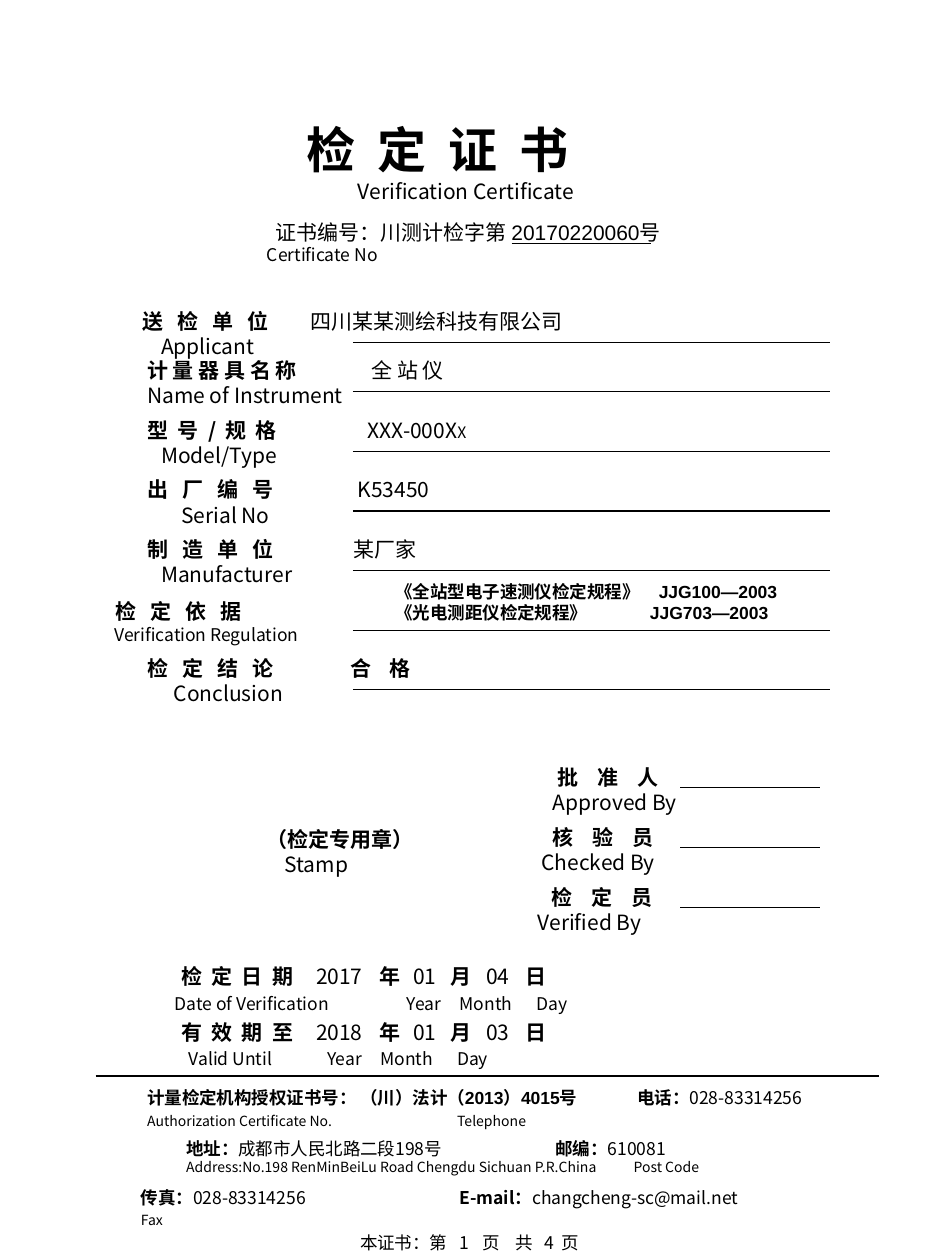
from lxml.etree import SubElement
from pptx import Presentation
from pptx.dml.color import RGBColor
from pptx.enum.text import MSO_ANCHOR, MSO_AUTO_SIZE, PP_ALIGN
from pptx.enum.shapes import MSO_CONNECTOR
from pptx.oxml.ns import qn
from pptx.util import Inches, Pt

COLORS = {"ink": "000000"}
CJK, LATIN = "Noto Sans CJK SC", "Arial"
INSET = 0.1
ROW_TOP, ROW_LINE, ROW_STEP = 2.79, 3.11, 0.473
SIGN_TOP, SIGN_LINE, SIGN_STEP = 6.02, 6.25, 0.475


def seg(x, text, **fmt):
    """Describe a piece of a line starting at x, or following on when x is None."""
    return x, text, fmt


def add_run(p, text, size=12, bold=False, font=CJK, gap=1):
    """Add a formatted run whose words are spread as if gap spaces wide."""
    r = p.add_run()
    r.text = text
    r.font.size, r.font.bold, r.font.name = Pt(size), bold, font
    r.font.color.rgb = RGBColor.from_string(COLORS["ink"])
    rPr = r._r.get_or_add_rPr()
    SubElement(rPr, qn("a:ea"), typeface=CJK)
    if gap > 1:
        rPr.set("spc", str(round((gap - 1) * size * 11.2)))


def fill_line(p, left, segs, before=0):
    """Write one line of segments, placing each by a tab stop."""
    p.alignment = PP_ALIGN.LEFT
    p.space_before = Pt(before)
    stops = [x for x, _, _ in segs if x is not None and x - left > 0.01]
    if stops:
        tabs = SubElement(p._p.get_or_add_pPr(), qn("a:tabLst"))
        for x in stops:
            SubElement(tabs, qn("a:tab"), pos=str(Inches(x - left)), algn="l")
    for x, text, fmt in segs:
        add_run(p, "\t" + text if x in stops else text, **fmt)


def fill_box(sp, y, w, h, lines, before=0):
    """Place a text shape and write its lines, spacing those after the first."""
    left = min(x for segs in lines for x, _, _ in segs if x is not None)
    sp.left, sp.top = Inches(left - INSET), Inches(y)
    sp.width, sp.height = Inches(w), Inches(h)
    tf = sp.text_frame
    tf.word_wrap, tf.auto_size = True, MSO_AUTO_SIZE.NONE
    tf.vertical_anchor = MSO_ANCHOR.TOP
    for i, segs in enumerate(lines):
        p = tf.add_paragraph() if i else tf.paragraphs[0]
        fill_line(p, left, segs, before if i else 0)


def add_text(s, y, w, lines, h=0.5, before=0):
    """Add a text box."""
    fill_box(s.shapes.add_textbox(0, 0, 0, 0), y, w, h, lines, before)


def add_rule(s, x1, x2, y, width=0.75):
    """Draw a horizontal rule."""
    ln = s.shapes.add_connector(MSO_CONNECTOR.STRAIGHT, Inches(x1), Inches(y), Inches(x2), Inches(y))
    ln.line.width = Pt(width)
    ln.line.color.rgb = RGBColor.from_string(COLORS["ink"])
    SubElement(ln._element.spPr, qn("a:effectLst"))


def add_heading(s):
    """Write the title and the certificate number."""
    fill_box(s.shapes.title, 0.9, 3.7, 0.77, [
        [seg(2.43, "检 定 证 书", size=28, bold=True, gap=2)],
        [seg(2.84, "Verification Certificate")]])
    add_text(s, 1.69, 4.02, [
        [seg(2.19, "证书编号：川测计检字第 20170220060号", font=LATIN)],
        [seg(2.12, "Certificate No", size=10)]])
    add_rule(s, 4.06, 5.17, 1.93)


def add_fields(s):
    """Write the instrument fields above their rules."""
    rows = [
        (2.4, 1.13, "送 检 单 位", 3, 1.28, "Applicant", [seg(2.47, "四川某某测绘科技有限公司", font=LATIN)]),
        (0, 1.17, "计 量 器 具 名 称", 1, 1.17, "Name of Instrument", [seg(2.95, "全 站 仪")]),
        (1, 1.17, "型 号 / 规 格", 2, 1.28, "Model/Type", [seg(2.92, "XXX-000X"), seg(None, "X", size=9)]),
        (2, 1.17, "出 厂 编 号", 3, 1.44, "Serial No", [seg(2.84, "K53450")]),
        (3, 1.17, "制 造 单 位", 3, 1.28, "Manufacturer", [seg(2.81, "某厂家")]),
        (5, 1.17, "检 定 结 论", 3, 1.38, "Conclusion", [seg(2.78, "合 格", bold=True, gap=4)]),
    ]
    for row, x, label, gap, sub_x, sub, value in rows:
        y = row if row == 2.4 else ROW_TOP + row * ROW_STEP
        add_text(s, y, 5.3, [[seg(x, label, bold=True, gap=gap), *value], [seg(sub_x, sub)]])
    add_text(s, 4.7, 2.6, [
        [seg(0.92, "检 定 依 据", bold=True, gap=3)],
        [seg(0.91, "Verification Regulation", size=10)]], h=0.47)
    rule = {"size": 10, "bold": True, "font": LATIN}
    add_text(s, 4.56, 3.4, [
        [seg(3.14, "《全站型电子速测仪检定规程》", **rule), seg(5.23, "JJG100—2003", **rule)],
        [seg(3.14, "《光电测距仪检定规程》", **rule), seg(5.16, "JJG703—2003", **rule)]], h=0.44)
    for y in [2.72] + [ROW_LINE + i * ROW_STEP for i in range(6)]:
        add_rule(s, 2.8, 6.59, y)


def add_signatures(s):
    """Write the stamp note and the signature lines."""
    add_text(s, 6.51, 1.5, [
        [seg(2.12, "（检定专用章）", bold=True, font=LATIN)], [seg(2.26, "Stamp")]])
    signers = [(4.43, "批 准 人", 4.39, "Approved By"),
               (4.39, "核 验 员", 4.3, "Checked By"),
               (4.38, "检 定 员", 4.27, "Verified By")]
    for i, (x, label, sub_x, sub) in enumerate(signers):
        add_text(s, SIGN_TOP + i * SIGN_STEP, 1.4, [
            [seg(x, label, bold=True, font=LATIN, gap=4)], [seg(sub_x, sub)]])
        add_rule(s, 5.4, 6.51, SIGN_LINE + i * SIGN_STEP)


def add_dates(s):
    """Write the verification and expiry dates."""
    dates = [(7.6, "检 定 日 期", ("2017", "01", "04"), "Date of Verification", (1.39, 3.23, 3.65, 4.26)),
             (8.04, "有 效 期 至", ("2018", "01", "03"), "Valid Until", (1.5, 2.6, 3.02, 3.63))]
    for y, label, parts, sub, xs in dates:
        top = [seg(1.44, label, bold=True, gap=2)]
        for x, part, unit_x, unit in zip((2.51, 3.28, 3.86), parts, (3.01, 3.58, 4.17), "年月日"):
            top += [seg(x, part), seg(unit_x, unit, bold=True)]
        words = (sub, "Year", "Month", "Day")
        add_text(s, y, 4.9, [top, [seg(x, t, size=10) for x, t in zip(xs, words)]], before=2.3)


def add_footer(s):
    """Write the issuer's details and the page count."""
    add_rule(s, 0.76, 6.98, 8.54, width=1.5)
    head, body, sub = {"size": 10, "bold": True}, {"size": 10}, {"size": 8}
    add_text(s, 8.58, 5.67, [
        [seg(1.17, "计量检定机构授权证书号： ", **head),
         seg(None, "（川）法计（2013）4015号", font=LATIN, **head),
         seg(5.06, "电话：", **head), seg(None, "028-83314256", **body)],
        [seg(1.17, "Authorization Certificate No.", **sub), seg(3.63, "Telephone", **sub)]],
        h=0.44, before=2.3)
    add_text(s, 8.98, 4.6, [
        [seg(1.48, "地址：", **head), seg(None, "成都市人民北路二段198号", **body),
         seg(4.41, "邮编：", **head), seg(None, "610081", **body)],
        [seg(1.48, "Address:No.198 RenMinBeiLu Road Chengdu Sichuan P.R.China", **sub),
         seg(5.03, "Post Code", **sub)]], h=0.4)
    add_text(s, 9.37, 6.4, [
        [seg(1.12, "传真：", **head), seg(None, "028-83314256", **body),
         seg(3.65, "E-mail：", **head), seg(None, "changcheng-sc@mail.net", **body)],
        [seg(1.12, "Fax", **sub)]], h=0.44, before=2.3)
    pages = [(2.86, "本证书：第", LATIN), (3.65, "1", CJK), (3.83, "页", LATIN),
             (4.09, "共", LATIN), (4.32, "4", CJK), (4.46, "页", LATIN)]
    add_text(s, 9.73, 1.94, [[seg(x, t, size=10, font=f) for x, t, f in pages]], h=0.27)


def main():
    """Build the certificate and save it."""
    prs = Presentation()
    prs.slide_width, prs.slide_height = Inches(7.5), Inches(10)
    s = prs.slides.add_slide(prs.slide_layouts[5])
    for add_part in (add_heading, add_fields, add_signatures, add_dates, add_footer):
        add_part(s)
    prs.save("out.pptx")


if __name__ == "__main__":
    main()
